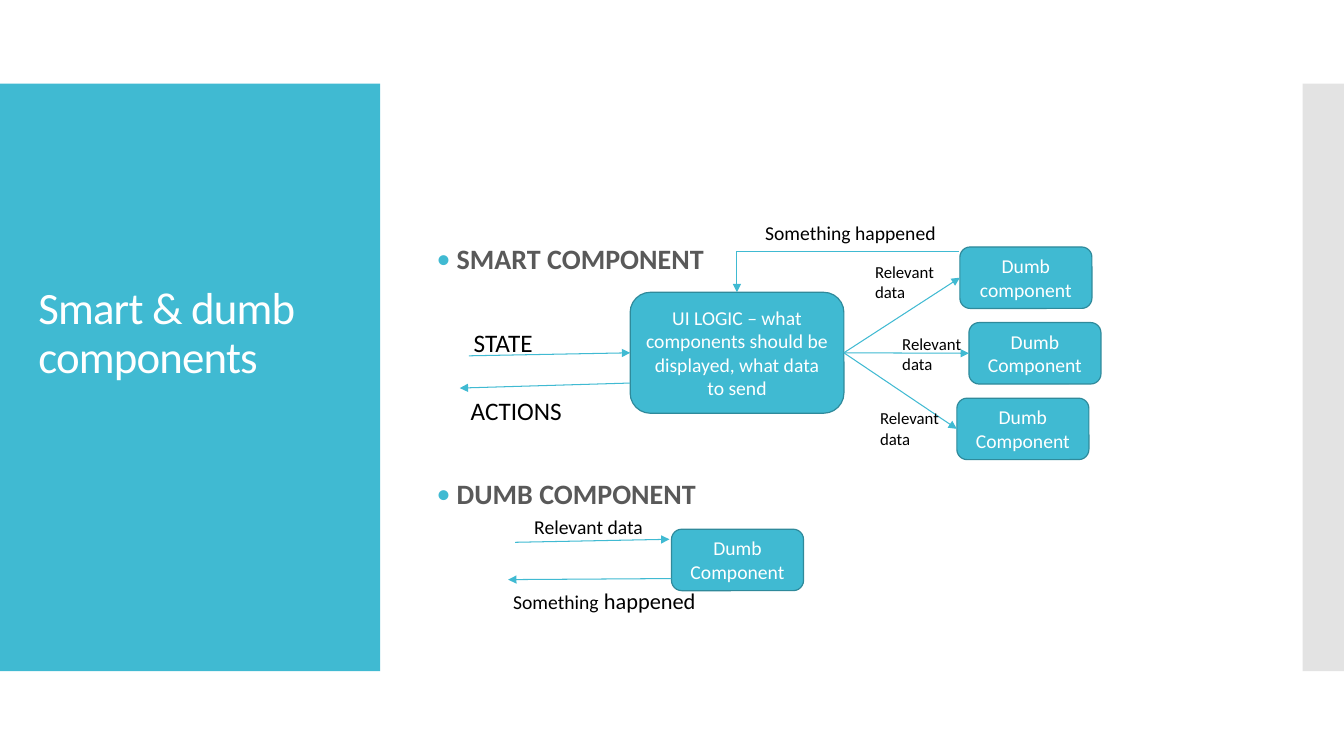
"""Build the slide comparing smart and dumb components."""
from lxml import etree
from pptx import Presentation
from pptx.dml.color import RGBColor
from pptx.enum.shapes import MSO_CONNECTOR, MSO_SHAPE
from pptx.enum.text import MSO_ANCHOR, MSO_AUTO_SIZE, PP_ALIGN
from pptx.oxml.ns import qn
from pptx.util import Inches, Pt

STRAIGHT, ELBOW = MSO_CONNECTOR.STRAIGHT, MSO_CONNECTOR.ELBOW
RECTANGLE, ROUNDED = MSO_SHAPE.RECTANGLE, MSO_SHAPE.ROUNDED_RECTANGLE
MIDDLE, BOTTOM = MSO_ANCHOR.MIDDLE, MSO_ANCHOR.BOTTOM
LEFT, CENTER = PP_ALIGN.LEFT, PP_ALIGN.CENTER
NO_AUTOFIT, GROW = MSO_AUTO_SIZE.NONE, MSO_AUTO_SIZE.SHAPE_TO_FIT_TEXT
TEAL = RGBColor(0x40, 0xBA, 0xD2)
DARK_TEAL = RGBColor(0x2F, 0x8A, 0x9B)
SILVER = RGBColor(0xC8, 0xC8, 0xC8)
GRAY = RGBColor(0x59, 0x59, 0x59)
WHITE = RGBColor(0xFF, 0xFF, 0xFF)
BLACK = RGBColor(0, 0, 0)
FONT = "Calibri"


def add_run(paragraph, text, size, color):
    run = paragraph.add_run()
    run.text = text
    run.font.name = FONT
    run.font.size = Pt(size)
    run.font.color.rgb = color
    return run


def add_arrow(kind, start, end):
    arrow = slide.shapes.add_connector(kind, *map(Inches, start + end))
    arrow.line.color.rgb = TEAL
    arrow.line.width = Pt(0.75)
    etree.SubElement(arrow.line._get_or_add_ln(), qn("a:tailEnd"), type="triangle")
    etree.SubElement(arrow._element.spPr, qn("a:effectLst"))
    return arrow


prs = Presentation()
prs.slide_width, prs.slide_height = Inches(13.33), Inches(7.5)
slide = prs.slides.add_slide(prs.slide_layouts[1])

side_panels = []
for left, width, color in ((0, 3.77, TEAL), (12.92, 0.41, SILVER)):
    panel = slide.shapes.add_shape(
        RECTANGLE, Inches(left), Inches(0.83), Inches(width), Inches(5.83))
    panel.shadow.inherit = False
    panel.fill.solid()
    panel.fill.fore_color.rgb = color
    panel.line.fill.background()
    slide.shapes._spTree.insert(2, panel._element)
    side_panels.append(panel)
silver_fill = side_panels[1]._element.spPr.find(qn("a:solidFill"))
etree.SubElement(silver_fill[0], qn("a:alpha"), val="50000")

title = slide.shapes.title
headings = slide.placeholders[1]
for holder, box, anchor in (
    (title, (0.28, 1.25, 3.1, 2.6), BOTTOM),
    (headings, (4.23, 0.95, 8, 5.6), MIDDLE),
):
    holder.left, holder.top, holder.width, holder.height = map(Inches, box)
    holder.text_frame.auto_size = NO_AUTOFIT
    holder.text_frame.word_wrap = True
    holder.text_frame.vertical_anchor = anchor

title_line = title.text_frame.paragraphs[0]
title_line.alignment = LEFT
title_line.line_spacing = 0.9
title_run = add_run(title_line, "Smart & dumb components", 32, WHITE)
title_run._r.get_or_add_rPr().set("spc", "-60")

smart_heading = headings.text_frame.paragraphs[0]
dumb_heading = headings.text_frame.add_paragraph()
for heading, text, gap in (
    (smart_heading, "SMART COMPONENT", 0),
    (dumb_heading, "DUMB COMPONENT", 146),
):
    heading.line_spacing = 0.9
    heading.space_before = Pt(gap)
    properties = heading._p.get_or_add_pPr()
    properties.set("marL", str(Inches(0.2)))
    properties.set("indent", str(Inches(-0.2)))
    bullet_color = etree.SubElement(properties, qn("a:buClr"))
    etree.SubElement(bullet_color, qn("a:srgbClr"), val=str(TEAL))
    etree.SubElement(properties, qn("a:buFont"), typeface=FONT)
    etree.SubElement(properties, qn("a:buChar"), char="•")
    add_run(heading, text, 20, GRAY).font.bold = True

components = []
for left, top, width, height, text in (
    (6.25, 2.9, 2.12, 1.2,
     "UI LOGIC – what components should be displayed, what data to send"),
    (9.52, 2.45, 1.31, 0.61, "Dumb component"),
    (9.61, 3.2, 1.31, 0.61, "Dumb Component"),
    (9.49, 3.95, 1.31, 0.61, "Dumb Component"),
    (6.66, 5.25, 1.31, 0.61, "Dumb Component"),
):
    component = slide.shapes.add_shape(
        ROUNDED, Inches(left), Inches(top), Inches(width), Inches(height))
    component.shadow.inherit = False
    component.fill.solid()
    component.fill.fore_color.rgb = TEAL
    component.line.color.rgb = DARK_TEAL
    component.line.width = Pt(0.85)
    component.text_frame.word_wrap = True
    component.text_frame.vertical_anchor = MIDDLE
    caption = component.text_frame.paragraphs[0]
    caption.alignment = CENTER
    add_run(caption, text, 14, WHITE)
    components.append(component)
ui_logic, *children = components[:4]

state_arrow = add_arrow(STRAIGHT, (4.65, 3.53), (6.25, 3.5))
state_arrow.end_connect(ui_logic, 1)
for child in children:
    data_arrow = add_arrow(STRAIGHT, (8.37, 3.5), (9.5, 3.5))
    data_arrow.begin_connect(ui_logic, 3)
    data_arrow.end_connect(child, 1)
for start, end in (
    ((6.25, 3.8), (4.56, 3.85)),
    ((5.11, 5.38), (6.64, 5.35)),
    ((6.66, 5.74), (5.04, 5.75)),
):
    add_arrow(STRAIGHT, start, end)
event_arrow = add_arrow(ELBOW, (9.51, 2.5), (7.31, 2.9))
event_arrow._element.spPr.find(qn("a:prstGeom")).set("prst", "bentConnector2")

for left, top, width, height, wrap, parts in (
    (4.6, 3.2, 0.89, 0.4, False, [("STATE", 18)]),
    (4.57, 3.87, 1.21, 0.4, False, [("ACTIONS", 18)]),
    (7.49, 2.14, 1.96, 0.34, False, [("Something happened", 14)]),
    (8.58, 2.55, 1.01, 0.5, True, [("Relevant data", 12)]),
    (8.85, 3.26, 1.01, 0.5, True, [("Relevant data", 12)]),
    (8.63, 4, 1.01, 0.5, True, [("Relevant data", 12)]),
    (5.2, 5.06, 1.32, 0.34, False, [("Relevant data", 14)]),
    (4.99, 5.78, 2.08, 0.37, False, [("Something", 14), (" happened", 16)]),
):
    label = slide.shapes.add_textbox(
        Inches(left), Inches(top), Inches(width), Inches(height))
    label.text_frame.word_wrap = wrap
    label.text_frame.auto_size = GROW
    for text, size in parts:
        add_run(label.text_frame.paragraphs[0], text, size, BLACK)

prs.save("out.pptx")
